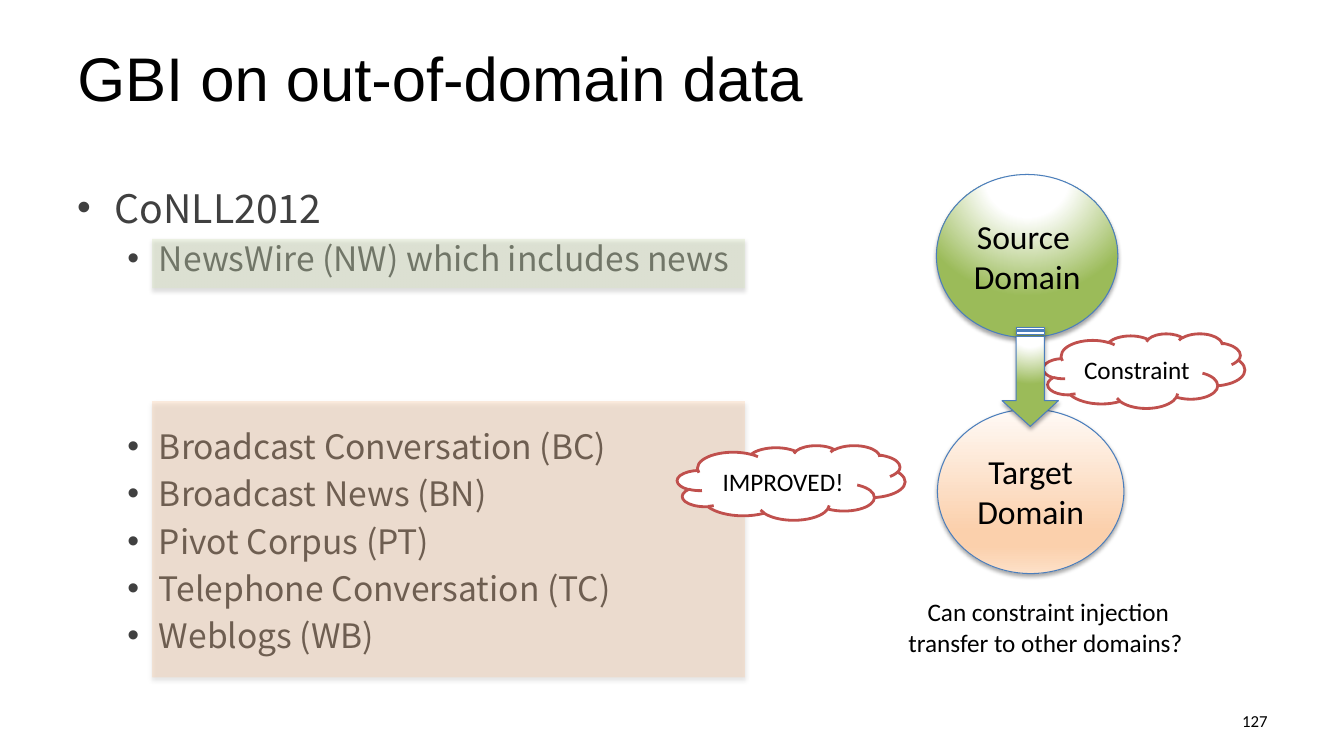
import pptx
import pptx.dml.color
import pptx.enum.shapes
import pptx.enum.text
import pptx.oxml
import pptx.oxml.ns
import pptx.util

Pt = pptx.util.Pt
SHAPE = pptx.enum.shapes.MSO_SHAPE
ALIGN = pptx.enum.text.PP_ALIGN
ANCHOR = pptx.enum.text.MSO_ANCHOR

BLACK, GREY, WHITE = "000000", "404040", "FFFFFF"
BLUE, RED = "4B7EBC", "C0504D"
BODY_FONT = "Noto Sans CJK KR"
NS = pptx.oxml.ns.nsdecls("a")

GREEN_STOPS = [(0, WHITE), (35, WHITE), (100, "9BBB59")]
ORANGE_STOPS = [(0, "FFFAF6"), (74, "FBD0AC"), (83, "FBD0AC"), (100, "FDE0C7")]
GLOW = ('<a:path path="circle"><a:fillToRect l="50000" t="-80000" '
        'r="50000" b="180000"/></a:path>')
DOWNWARD = '<a:lin ang="5400000" scaled="0"/>'


def rgb(value):
    return pptx.dml.color.RGBColor.from_string(value)


def add_xml(parent, xml):
    parent.append(pptx.oxml.parse_xml(xml))


def write(tf, lines, size=18, font="Calibri", color=BLACK, align=ALIGN.LEFT,
          anchor=ANCHOR.TOP, wrap=True):
    """Fill a text frame with one paragraph for each line."""
    tf.word_wrap = wrap
    tf.vertical_anchor = anchor
    for i, line in enumerate(lines):
        p = tf.paragraphs[0] if i == 0 else tf.add_paragraph()
        p.alignment = align
        r = p.add_run()
        r.text = line
        r.font.size = Pt(size)
        r.font.name = font
        r.font.color.rgb = rgb(color)


def set_insets(tf, sides, ends):
    tf.margin_left = tf.margin_right = Pt(sides)
    tf.margin_top = tf.margin_bottom = Pt(ends)


def add_text(slide, box, lines, **fmt):
    s = slide.shapes.add_textbox(*map(Pt, box))
    write(s.text_frame, lines, **fmt)
    return s


def add_bullets(slide, box, items):
    """Add a list of (level, space before, text) items."""
    styles = [(28, 40, 27, 27), (24, 33.8, 58.5, 22.5)]
    s = slide.shapes.add_textbox(*map(Pt, box))
    tf = s.text_frame
    tf.word_wrap = True
    set_insets(tf, 7.2, 0)
    for i, (level, before, text) in enumerate(items):
        size, pitch, left, hang = styles[level]
        p = tf.paragraphs[0] if i == 0 else tf.add_paragraph()
        p.level = level
        p.line_spacing = Pt(pitch)
        p.space_before = Pt(before)
        pPr = p._p.get_or_add_pPr()
        pPr.set("marL", str(Pt(left)))
        pPr.set("indent", str(-Pt(hang)))
        add_xml(pPr, f'<a:buFont {NS} typeface="Arial"/>')
        add_xml(pPr, f'<a:buChar {NS} char="•"/>')
        r = p.add_run()
        r.text = text
        r.font.size = Pt(size)
        r.font.name = BODY_FONT
        r.font.color.rgb = rgb(GREY)


def add_figure(slide, kind, box, fill=None, alpha=None, line=None, width=0.75,
               shadow=True):
    s = slide.shapes.add_shape(kind, *map(Pt, box))
    s.shadow.inherit = False
    if fill:
        s.fill.solid()
        s.fill.fore_color.rgb = rgb(fill)
    if alpha:
        clr = s._element.spPr.find(".//" + pptx.oxml.ns.qn("a:srgbClr"))
        add_xml(clr, f'<a:alpha {NS} val="{alpha * 1000}"/>')
    if line:
        s.line.color.rgb = rgb(line)
        s.line.width = Pt(width)
    else:
        s.line.fill.background()
    if shadow:
        effects = s._element.spPr.find(pptx.oxml.ns.qn("a:effectLst"))
        add_xml(effects, f'<a:outerShdw {NS} blurRad="{Pt(3.1)}" dist="{Pt(1.8)}" '
                         'dir="5400000" rotWithShape="0"><a:srgbClr val="000000">'
                         '<a:alpha val="35000"/></a:srgbClr></a:outerShdw>')
    return s


def set_gradient(s, stops, course):
    s.fill.background()
    spPr = s._element.spPr
    gs = "".join(f'<a:gs pos="{pos * 1000}"><a:srgbClr val="{color}"/></a:gs>'
                 for pos, color in stops)
    grad = pptx.oxml.parse_xml(f'<a:gradFill {NS} rotWithShape="1">'
                               f'<a:gsLst>{gs}</a:gsLst>{course}</a:gradFill>')
    spPr.replace(spPr.find(pptx.oxml.ns.qn("a:noFill")), grad)


def add_domain(slide, box, lines, stops, course):
    s = add_figure(slide, SHAPE.OVAL, box, line=BLUE)
    set_gradient(s, stops, course)
    write(s.text_frame, lines, size=24, align=ALIGN.CENTER,
          anchor=ANCHOR.MIDDLE, wrap=False)


def add_cloud(slide, box, label):
    s = add_figure(slide, SHAPE.CLOUD, box, fill=WHITE, line=RED, width=2,
                   shadow=False)
    write(s.text_frame, [label], align=ALIGN.CENTER, anchor=ANCHOR.MIDDLE,
          wrap=False)


def add_transfer_arrow(slide, box):
    s = add_figure(slide, SHAPE.STRIPED_RIGHT_ARROW, box, line=BLUE)
    s.rotation = 90
    s.adjustments[0] = 0.5
    s.adjustments[1] = 0.456
    set_gradient(s, GREEN_STOPS, GLOW)


def main():
    prs = pptx.Presentation()
    prs.slide_width, prs.slide_height = Pt(960), Pt(540)
    slide = prs.slides.add_slide(prs.slide_layouts[5])

    title = slide.shapes.title
    title.left, title.top, title.width, title.height = map(Pt, (48, 21.6, 864, 90))
    set_insets(title.text_frame, 7.2, 7.2)
    write(title.text_frame, ["GBI on out-of-domain data"], size=44, font="Arial")

    add_bullets(slide, (48, 125, 864, 357), [
        (0, 0, "CoNLL2012"),
        (1, 0, "NewsWire (NW) which includes news"),
        (1, 100.5, "Broadcast Conversation (BC)"),
        (1, 0, "Broadcast News (BN)"),
        (1, 0, "Pivot Corpus (PT)"),
        (1, 0, "Telephone Conversation (TC)"),
        (1, 0, "Weblogs (WB)"),
    ])
    add_text(slide, (688.5, 500.5, 224, 28.8), ["127"], size=12,
             align=ALIGN.RIGHT, anchor=ANCHOR.MIDDLE)

    add_figure(slide, SHAPE.RECTANGLE, (108.7, 286.6, 423.4, 197.3),
               fill="FAC090", alpha=28)
    add_figure(slide, SHAPE.RECTANGLE, (108.7, 170.6, 423.4, 35.3),
               fill="D7E4BD", alpha=37)

    add_domain(slide, (668.9, 124.6, 129.6, 116.6), ["Source ", "Domain"],
               GREEN_STOPS, GLOW)
    add_domain(slide, (669.6, 292.3, 133.2, 117.4), ["Target", "Domain"],
               ORANGE_STOPS, DOWNWARD)
    add_cloud(slide, (745.2, 238.3, 144, 53.3), "Constraint")
    add_transfer_arrow(slide, (700.6, 249.1, 70.6, 40.3))
    add_text(slide, (599.8, 422.6, 298, 51),
             ["Can constraint injection", "transfer to other domains? "],
             align=ALIGN.CENTER)
    add_cloud(slide, (483.8, 318.2, 162.7, 53.3), "IMPROVED!")

    prs.save("out.pptx")


if __name__ == "__main__":
    main()
